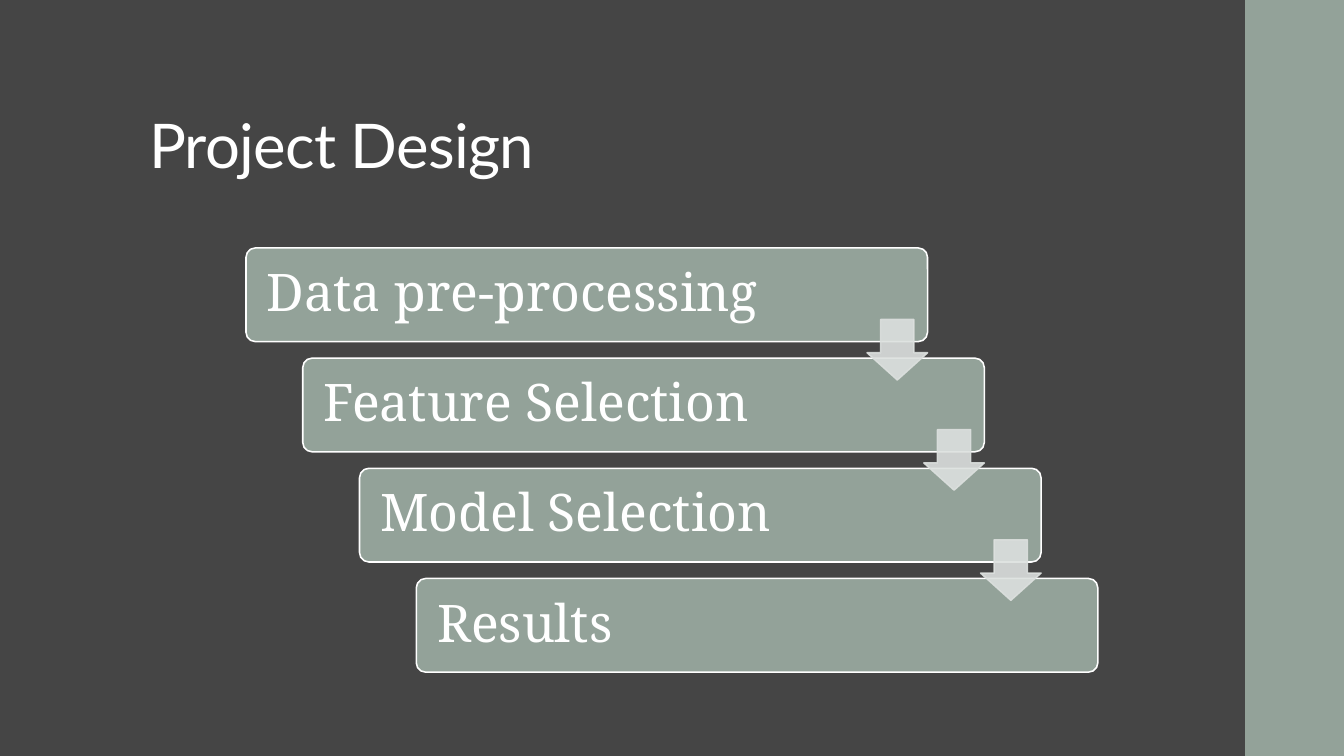
"""Build the Project Design slide: a staircase of steps joined by arrows."""
from dataclasses import dataclass

from lxml.etree import SubElement
from pptx import Presentation
from pptx.dml.color import RGBColor
from pptx.enum.shapes import MSO_SHAPE as SHAPE
from pptx.enum.text import MSO_ANCHOR as ANCHOR, MSO_AUTO_SIZE as AUTO, PP_ALIGN as ALIGN
from pptx.oxml.ns import qn
from pptx.util import Inches, Pt


@dataclass(frozen=True)
class Theme:
    """Colours, fonts and type sizes of the slide."""
    back: str = "454545"
    sage: str = "93A299"
    pale: str = "DCE0DE"
    white: str = "FFFFFF"
    head_font: str = "Lato"
    step_font: str = "Noto Serif"
    head_size: int = 44
    step_size: int = 37
    outline: float = 1.1


@dataclass(frozen=True)
class Stairs:
    """Grid of the staircase, in inches."""
    left: float = 2.44
    top: float = 2.46
    col: float = 0.563
    row: float = 1.093
    width: float = 6.76
    height: float = 0.93
    arrow: float = 0.6
    arrow_drop: float = 0.71

    def step_box(self, i):
        """Return the box of step i."""
        return self.left + i * self.col, self.top + i * self.row, self.width, self.height

    def arrow_box(self, i):
        """Return the box of the arrow leaving step i, flush with its right edge."""
        x, y, w, _ = self.step_box(i)
        return x + w - self.arrow, y + self.arrow_drop, self.arrow, self.arrow


THEME = Theme()
STAIRS = Stairs()
WIDTH, HEIGHT = 13.33, 7.5
STEPS = ("Data pre-processing", "Feature Selection", "Model Selection", "Results")


def rgb(code):
    """Turn a hex code into a colour."""
    return RGBColor.from_string(code)


def write(tf, text, *, font, size, color, anchor, inset=(0.1, 0.05), spacing=None):
    """Put one formatted left-aligned paragraph into a text frame."""
    tf.word_wrap, tf.auto_size, tf.vertical_anchor = True, AUTO.NONE, anchor
    tf.margin_left = tf.margin_right = Inches(inset[0])
    tf.margin_top = tf.margin_bottom = Inches(inset[1])
    p = tf.paragraphs[0]
    p.alignment, p.line_spacing = ALIGN.LEFT, 0.9
    r = p.add_run()
    r.text = text
    r.font.name, r.font.size = font, Pt(size)
    r.font.color.rgb = rgb(color)
    if spacing is not None:
        r.font._element.set("spc", str(round(spacing * 100)))


def add_block(shapes, kind, box, fill, line=None, adjust=(), alpha=None):
    """Add a flat preset shape, optionally outlined and translucent."""
    sp = shapes.add_shape(kind, *map(Inches, box))
    sp.shadow.inherit = False
    for i, value in enumerate(adjust):
        sp.adjustments[i] = value
    sp.fill.solid()
    sp.fill.fore_color.rgb = rgb(fill)
    if line:
        sp.line.color.rgb = rgb(line)
        sp.line.width = Pt(THEME.outline)
    else:
        sp.line.fill.background()
    if alpha is not None:
        for clr in sp._element.spPr.iter(qn("a:srgbClr")):
            SubElement(clr, qn("a:alpha"), val=str(alpha * 1000))
    return sp


def add_title(s, text):
    """Move and fill the title placeholder."""
    title = s.shapes.title
    title.left, title.top = Inches(1.38), Inches(0.4)
    title.width, title.height = Inches(10.6), Inches(1.45)
    write(title.text_frame, text, font=THEME.head_font, size=THEME.head_size,
          color=THEME.white, anchor=ANCHOR.BOTTOM, spacing=-0.5)


def add_staircase(s, steps):
    """Draw the grouped steps, then the arrows between them."""
    shapes = s.shapes.add_group_shape().shapes
    for i, text in enumerate(steps):
        sp = add_block(shapes, SHAPE.ROUNDED_RECTANGLE, STAIRS.step_box(i),
                       THEME.sage, THEME.white, adjust=(0.1,))
        write(sp.text_frame, text, font=THEME.step_font, size=THEME.step_size,
              color=THEME.white, anchor=ANCHOR.MIDDLE, inset=(0.18, 0.15))
    for i in range(len(steps) - 1):
        add_block(shapes, SHAPE.DOWN_ARROW, STAIRS.arrow_box(i),
                  THEME.pale, THEME.pale, adjust=(0.55, 0.45), alpha=90)


def main():
    """Build and save the slide."""
    prs = Presentation()
    prs.slide_width, prs.slide_height = Inches(WIDTH), Inches(HEIGHT)
    s = prs.slides.add_slide(prs.slide_layouts[5])
    s.background.fill.solid()
    s.background.fill.fore_color.rgb = rgb(THEME.back)
    add_title(s, "Project Design")
    add_block(s.shapes, SHAPE.RECTANGLE, (12.35, 0, WIDTH - 12.35, HEIGHT), THEME.sage)
    add_staircase(s, STEPS)
    prs.save("out.pptx")


main()
